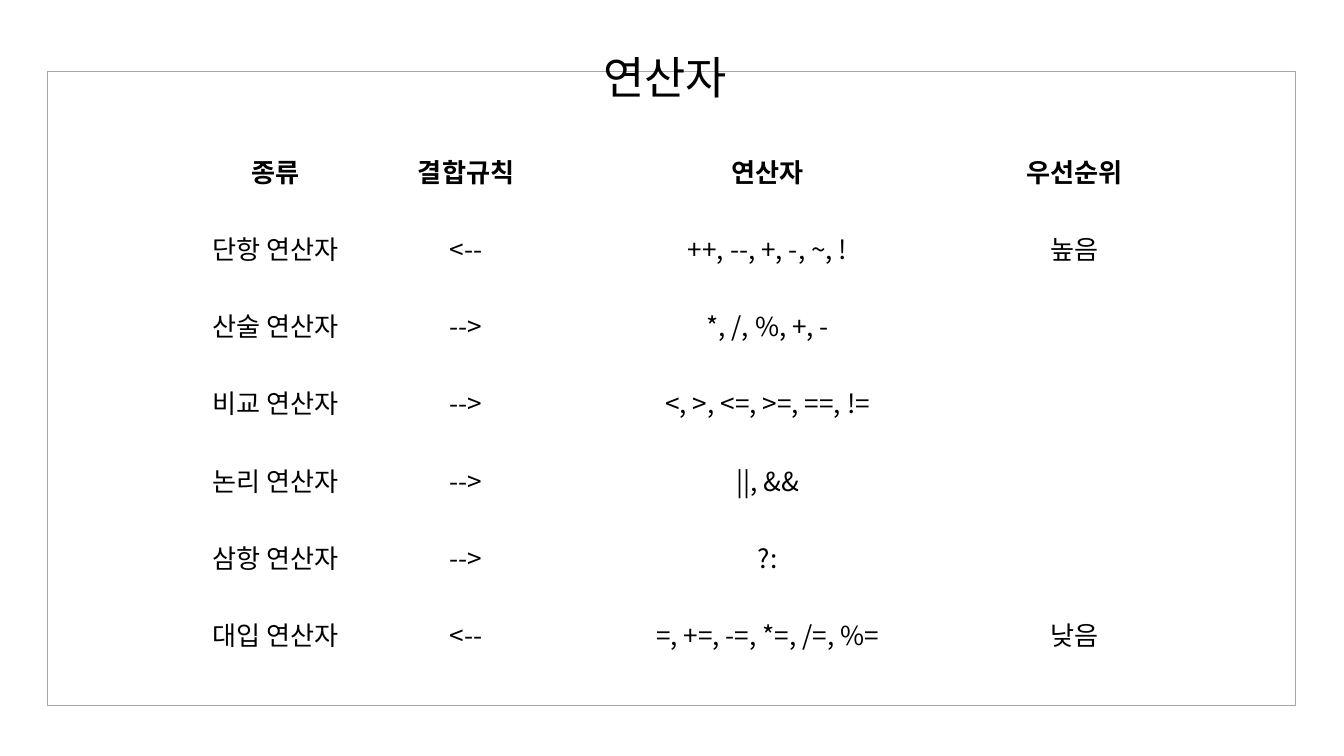
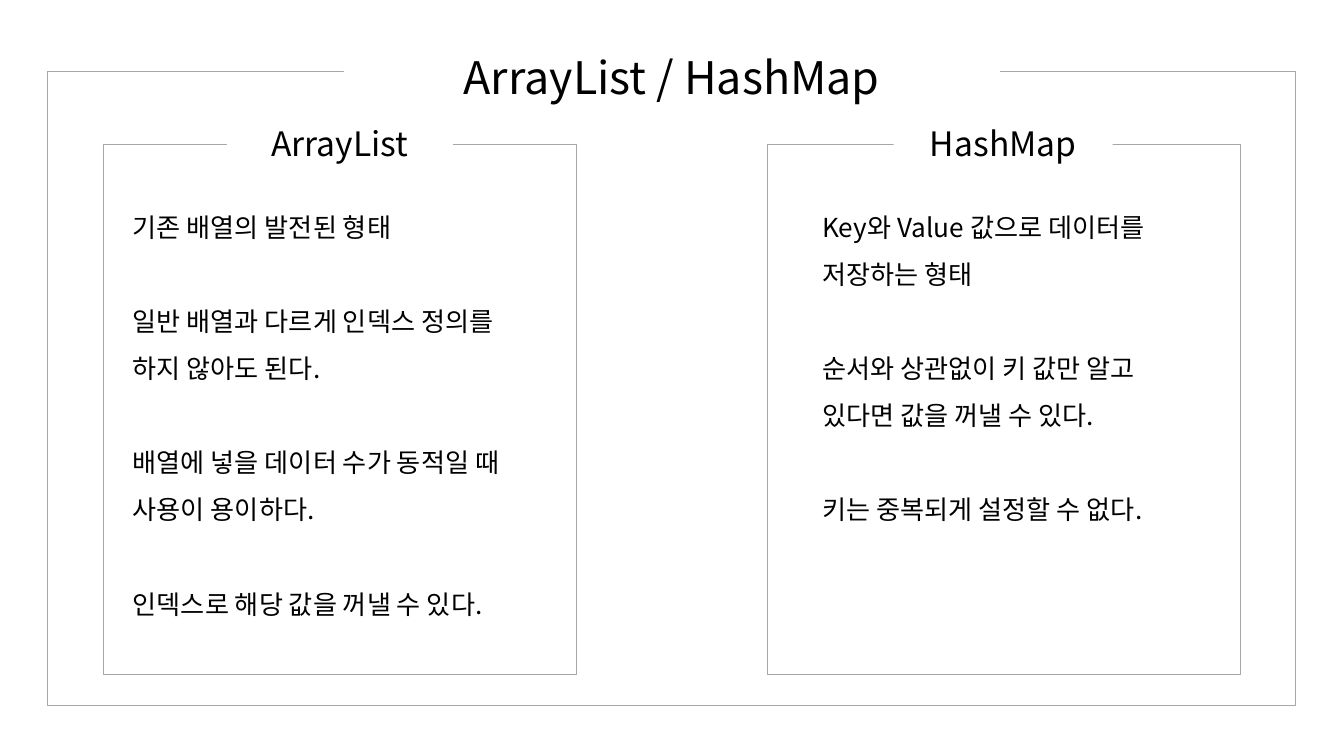
import pptx
import pptx.dml.color
import pptx.enum.shapes
import pptx.enum.text
import pptx.oxml
import pptx.oxml.ns
import pptx.util

Cm = pptx.util.Cm
Pt = pptx.util.Pt
ALIGN = pptx.enum.text.PP_ALIGN
ANCHOR = pptx.enum.text.MSO_ANCHOR

FONT = "Noto Sans CJK KR"
BLACK, WHITE, GREY = "000000", "FFFFFF", "A6A6A6"
TITLE_SIZE, HEADING_SIZE, BODY_SIZE = 24, 18, 14
PARAGRAPH_GAP = 25.2

OPERATOR_ROWS = [
    ("종류", "결합규칙", "연산자", "우선순위"),
    ("단항 연산자", "<--", "++, --, +, -, ~, !", "높음"),
    ("산술 연산자", "-->", "*, /, %, +, -", ""),
    ("비교 연산자", "-->", "<, >, <=, >=, ==, !=", ""),
    ("논리 연산자", "-->", "||, &&", ""),
    ("삼항 연산자", "-->", "?:", ""),
    ("대입 연산자", "<--", "=, +=, -=, *=, /=, %=", "낮음"),
]
COLUMN_WIDTHS = (3.81, 3.4, 8.0, 3.6)
ROW_HEIGHT = 1.46

ARRAY_LIST_POINTS = [
    ["기존 배열의 발전된 형태"],
    ["일반 배열과 다르게 인덱스 정의를", "하지 않아도 된다."],
    ["배열에 넣을 데이터 수가 동적일 때", "사용이 용이하다."],
    ["인덱스로 해당 값을 꺼낼 수 있다."],
]
HASH_MAP_POINTS = [
    ["Key와 Value 값으로 데이터를", "저장하는 형태"],
    ["순서와 상관없이 키 값만 알고", "있다면 값을 꺼낼 수 있다."],
    ["키는 중복되게 설정할 수 없다."],
]


def color(hex_string):
    return pptx.dml.color.RGBColor.from_string(hex_string)


def format_paragraph(paragraph, size, alignment, bold=False):
    paragraph.alignment = alignment
    for run in paragraph.runs:
        run.font.name = FONT
        run.font.size = Pt(size)
        run.font.bold = bold
        run.font.color.rgb = color(BLACK)
        east_asian = pptx.oxml.parse_xml(
            f'<a:ea {pptx.oxml.ns.nsdecls("a")} typeface="{FONT}"/>')
        run.font._element.find(pptx.oxml.ns.qn("a:latin")).addnext(east_asian)


def add_rectangle(slide, box, fill=None, line_width=None):
    shape = slide.shapes.add_shape(
        pptx.enum.shapes.MSO_SHAPE.RECTANGLE, *map(Cm, box))
    shape.shadow.inherit = False
    if fill:
        shape.fill.solid()
        shape.fill.fore_color.rgb = color(fill)
    else:
        shape.fill.background()
    if line_width:
        shape.line.color.rgb = color(GREY)
        shape.line.width = Pt(line_width)
    else:
        shape.line.fill.background()
    return shape


def fit_text_frame(text_frame):
    """Let the box follow its unwrapped text, starting at the top."""
    text_frame.word_wrap = False
    text_frame.auto_size = pptx.enum.text.MSO_AUTO_SIZE.SHAPE_TO_FIT_TEXT
    text_frame.vertical_anchor = ANCHOR.TOP


def add_framed_slide(presentation, title_text, left, width,
                     alignment=ALIGN.CENTER, mask=None):
    """Add a slide with the outer frame and a title on its top edge."""
    slide = presentation.slides.add_slide(presentation.slide_layouts[5])
    add_rectangle(slide, (0.89, 1.35, 23.6, 11.99), line_width=0.5)
    if mask:
        add_rectangle(slide, mask, fill=WHITE)
    title = slide.shapes.title
    title.left, title.top = Cm(left), Cm(0.81)
    title.width, title.height = Cm(width), Cm(1.27)
    title.text_frame.text = title_text
    fit_text_frame(title.text_frame)
    format_paragraph(title.text_frame.paragraphs[0], TITLE_SIZE, alignment)
    slide.shapes._spTree.append(title._element)  # bring the title to the front
    return slide


def set_cell_borders(cell, bottom_width):
    properties = cell._tc.get_or_add_tcPr()
    widths = {"lnL": 1, "lnR": 1, "lnT": 1, "lnB": bottom_width}
    for position, (side, width) in enumerate(widths.items()):
        properties.insert(position, pptx.oxml.parse_xml(
            f'<a:{side} {pptx.oxml.ns.nsdecls("a")} w="{Pt(width)}">'
            f'<a:solidFill><a:srgbClr val="{WHITE}"/></a:solidFill></a:{side}>'))


def add_operator_table(slide):
    table = slide.shapes.add_table(
        len(OPERATOR_ROWS), len(COLUMN_WIDTHS), Cm(3.3), Cm(2.74),
        Cm(sum(COLUMN_WIDTHS)), Cm(ROW_HEIGHT * len(OPERATOR_ROWS))).table
    table.horz_banding = False
    for column, width in zip(table.columns, COLUMN_WIDTHS):
        column.width = Cm(width)
    for row_index, values in enumerate(OPERATOR_ROWS):
        is_header = row_index == 0
        table.rows[row_index].height = Cm(ROW_HEIGHT)
        for column_index, value in enumerate(values):
            cell = table.cell(row_index, column_index)
            cell.fill.background()
            set_cell_borders(cell, bottom_width=3 if is_header else 1)
            cell.text_frame.text = value
            format_paragraph(cell.text_frame.paragraphs[0], BODY_SIZE,
                             ALIGN.CENTER, bold=is_header)


def add_points(slide, box, points):
    text_frame = slide.shapes.add_textbox(*map(Cm, box)).text_frame
    fit_text_frame(text_frame)
    text_frame.text = "\n".join(line for point in points for line in point)
    paragraphs = iter(text_frame.paragraphs)
    for point_index, point in enumerate(points):
        for line_index, paragraph in zip(range(len(point)), paragraphs):
            format_paragraph(paragraph, BODY_SIZE, ALIGN.LEFT)
            paragraph.line_spacing = 1.5
            if point_index and line_index == 0:
                paragraph.space_before = Pt(PARAGRAPH_GAP)


def add_panel(slide, left, heading, heading_left, heading_width):
    """Add a thin frame with a heading that interrupts its top edge."""
    add_rectangle(slide, (left, 2.72, 8.94, 10.03), line_width=0.25)
    label = add_rectangle(
        slide, (heading_left, 1.9, heading_width, 1.6), fill=WHITE)
    label.text_frame.text = heading
    label.text_frame.vertical_anchor = ANCHOR.MIDDLE
    format_paragraph(label.text_frame.paragraphs[0], HEADING_SIZE, ALIGN.CENTER)


def build_operator_slide(presentation):
    slide = add_framed_slide(presentation, "연산자", 11.15, 3.07, ALIGN.LEFT)
    add_operator_table(slide)


def build_collection_slide(presentation):
    slide = add_framed_slide(presentation, "ArrayList / HashMap", 8.48, 8.43,
                             mask=(6.5, 0.53, 12.4, 1.8))
    add_panel(slide, 1.96, "ArrayList", 4.29, 4.27)
    add_panel(slide, 14.5, "HashMap", 16.89, 4.14)
    add_points(slide, (2.26, 3.58, 8.36, 8.33), ARRAY_LIST_POINTS)
    add_points(slide, (15.29, 3.58, 7.37, 6.53), HASH_MAP_POINTS)


def main():
    presentation = pptx.Presentation()
    presentation.slide_width = Cm(25.4)
    presentation.slide_height = Cm(14.29)
    build_operator_slide(presentation)
    build_collection_slide(presentation)
    presentation.save("out.pptx")


if __name__ == "__main__":
    main()
